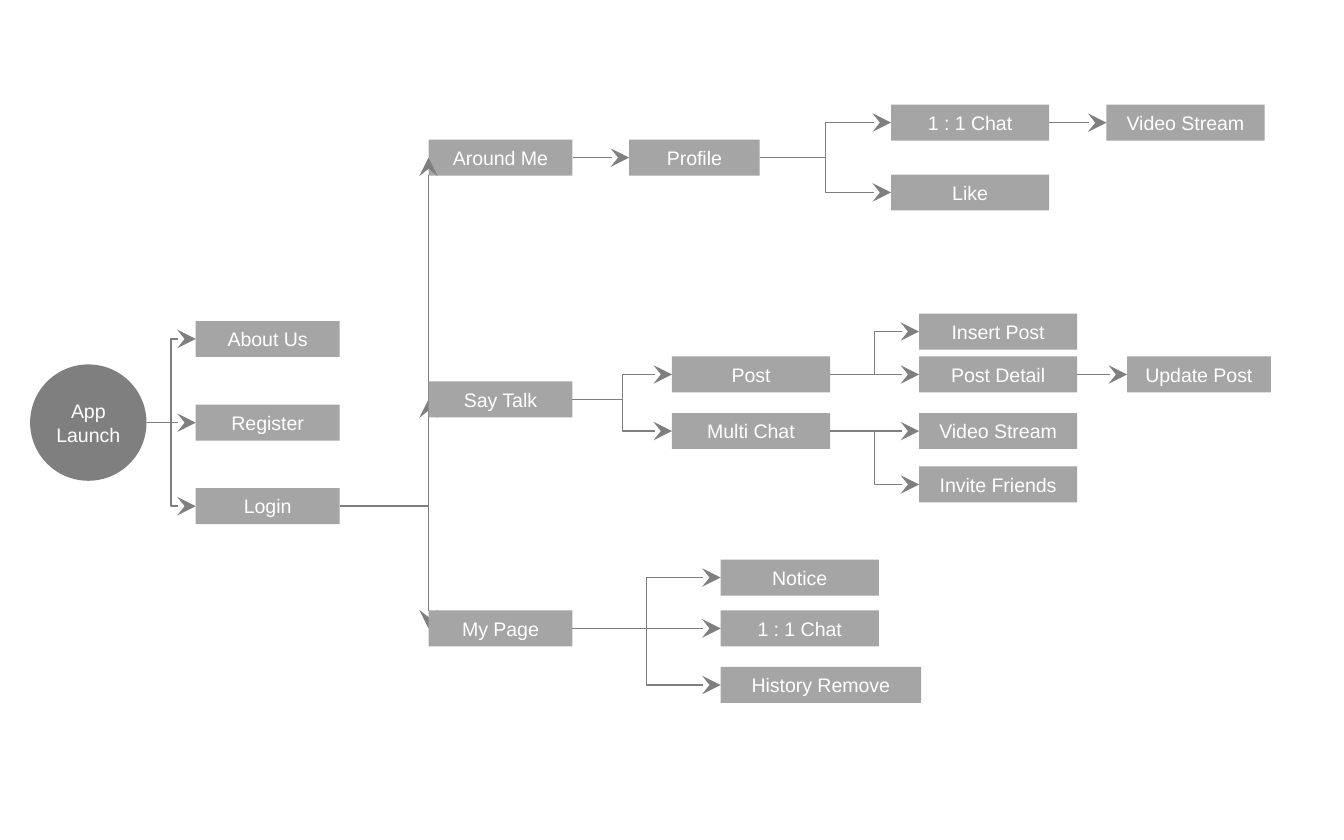
from pptx import Presentation
from pptx.dml.color import RGBColor
from pptx.enum.shapes import MSO_CONNECTOR as Line, MSO_SHAPE as Shape
from pptx.enum.text import MSO_ANCHOR as Anchor, PP_ALIGN as Align
from pptx.oxml.ns import qn
from pptx.util import Cm, Pt
from lxml.etree import SubElement

DARK = RGBColor(0x7F, 0x7F, 0x7F)
GRAY = RGBColor(0xA5, 0xA5, 0xA5)
WHITE = RGBColor(0xFF, 0xFF, 0xFF)
NARROW, NORMAL, MEDIUM, WIDE = 2.47, 2.72, 2.99, 3.79


class FlowChart:
    """Style and current slide; positions are in centimetres."""

    font, size, line_width, box_height = "Arial", Pt(10.5), Pt(0.75), 0.68

    def __init__(self, slide):
        self.slide = slide

    def set_label(self, shape, text):
        frame = shape.text_frame
        frame.word_wrap = True
        frame.vertical_anchor = Anchor.MIDDLE
        frame.text = text
        paragraph = frame.paragraphs[0]
        paragraph.alignment = Align.CENTER
        font = paragraph.runs[0].font
        font.name, font.size = self.font, self.size
        font.color.rgb = WHITE

    def filled_shape(self, kind, left, middle, width, height, color):
        shape = self.slide.shapes.add_shape(
            kind, Cm(left), Cm(middle - height / 2), Cm(width), Cm(height))
        shape.shadow.inherit = False
        shape.fill.solid()
        shape.fill.fore_color.rgb = color
        shape.line.fill.background()
        return shape

    def box(self, text, left, middle, width=MEDIUM):
        shape = self.filled_shape(
            Shape.RECTANGLE, left, middle, width, self.box_height, GRAY)
        self.set_label(shape, text)
        return shape

    def start(self, text, left, middle, diameter):
        circle = self.filled_shape(Shape.OVAL, left, middle, diameter, diameter, DARK)
        width, height = 2.39, 1.6
        label = self.slide.shapes.add_textbox(
            Cm(left + (diameter - width) / 2), Cm(middle - height / 2),
            Cm(width), Cm(height))
        self.set_label(label, text)
        return circle

    def connector(self, kind, begin, end):
        connector = self.slide.shapes.add_connector(
            kind, *(round(value) for value in (*begin, *end)))
        connector.line.color.rgb = DARK
        connector.line.width = self.line_width
        properties = connector._element.spPr
        SubElement(properties.find(qn("a:ln")), qn("a:tailEnd"),
                   type="stealth", w="lg", len="lg")
        SubElement(properties, qn("a:effectLst"))
        return connector

    def right_side(self, shape):
        return shape.left + shape.width, shape.top + shape.height / 2

    def arrow(self, source, *targets):
        """Lead from the right side of a shape to the left side of each target."""
        x1, y1 = self.right_side(source)
        for target in targets:
            x2, y2 = target.left, target.top + target.height / 2
            kind = Line.STRAIGHT if abs(y2 - y1) < Cm(0.02) else Line.ELBOW
            self.connector(kind, (x1, y1), (x2, y2))

    def corner_arrow(self, source, x2, y2):
        """Go right, then turn once: a quarter-turned elbow with no first leg."""
        x1, y1 = self.right_side(source)
        center_x, center_y = (x1 + x2) / 2, (y1 + y2) / 2
        run, rise = x2 - x1, y1 - y2
        connector = self.connector(
            Line.ELBOW, (center_x - rise / 2, center_y - run / 2),
            (center_x + rise / 2, center_y + run / 2))
        properties = connector._element.spPr
        properties.find(qn("a:xfrm")).set("rot", str(270 * 60000))
        geometry = properties.find(qn("a:prstGeom"))
        guides = geometry.find(qn("a:avLst"))
        if guides is None:
            guides = SubElement(geometry, qn("a:avLst"))
        SubElement(guides, qn("a:gd"), name="adj1", fmla="val 0")


def main():
    presentation = Presentation()
    presentation.slide_width, presentation.slide_height = Cm(25.4), Cm(15.88)
    chart = FlowChart(presentation.slides.add_slide(presentation.slide_layouts[6]))

    # Launch and entry pages
    launch = chart.start("App Launch", 0.57, 7.99, 2.2)
    about, register, login = [
        chart.box(text, 3.7, 7.99 + step * 1.58, NORMAL)
        for step, text in enumerate(("About Us", "Register", "Login"), -1)]
    chart.arrow(launch, about, register, login)

    # Main menu: the last two boxes cover the tips of their arrows
    menu_left, around_y, talk_y, page_y = 8.1, 2.98, 7.55, 11.88
    around = chart.box("Around Me", menu_left, around_y, NORMAL)
    for middle in (around_y, talk_y, page_y):
        chart.corner_arrow(login, Cm(menu_left), Cm(middle))
    talk = chart.box("Say Talk", menu_left, talk_y, NORMAL)
    page = chart.box("My Page", menu_left, page_y, NORMAL)

    # Around Me
    profile = chart.box("Profile", 11.89, around_y, NARROW)
    chat = chart.box("1 : 1 Chat", 16.84, around_y - 0.66)
    like = chart.box("Like", 16.84, around_y + 0.66)
    stream = chart.box("Video Stream", 20.91, around_y - 0.66)
    chart.arrow(around, profile)
    chart.arrow(profile, chat, like)
    chart.arrow(chat, stream)

    # Say Talk
    post_y, multi_y = 7.08, 8.15
    post = chart.box("Post", 12.7, post_y)
    multi = chart.box("Multi Chat", 12.7, multi_y)
    insert, detail, video, invite = [
        chart.box(text, 17.37, middle) for text, middle in (
            ("Insert Post", 6.27), ("Post Detail", post_y),
            ("Video Stream", multi_y), ("Invite Friends", 9.16))]
    update = chart.box("Update Post", 21.3, post_y, NORMAL)
    chart.arrow(talk, post, multi)
    chart.arrow(post, insert, detail)
    chart.arrow(multi, video, invite)
    chart.arrow(detail, update)

    # My Page
    chart.arrow(page, *(
        chart.box(text, 13.62, middle, width) for text, middle, width in (
            ("Notice", 10.92, MEDIUM), ("1 : 1 Chat", page_y, MEDIUM),
            ("History Remove", 12.95, WIDE))))

    presentation.save("out.pptx")


if __name__ == "__main__":
    main()
